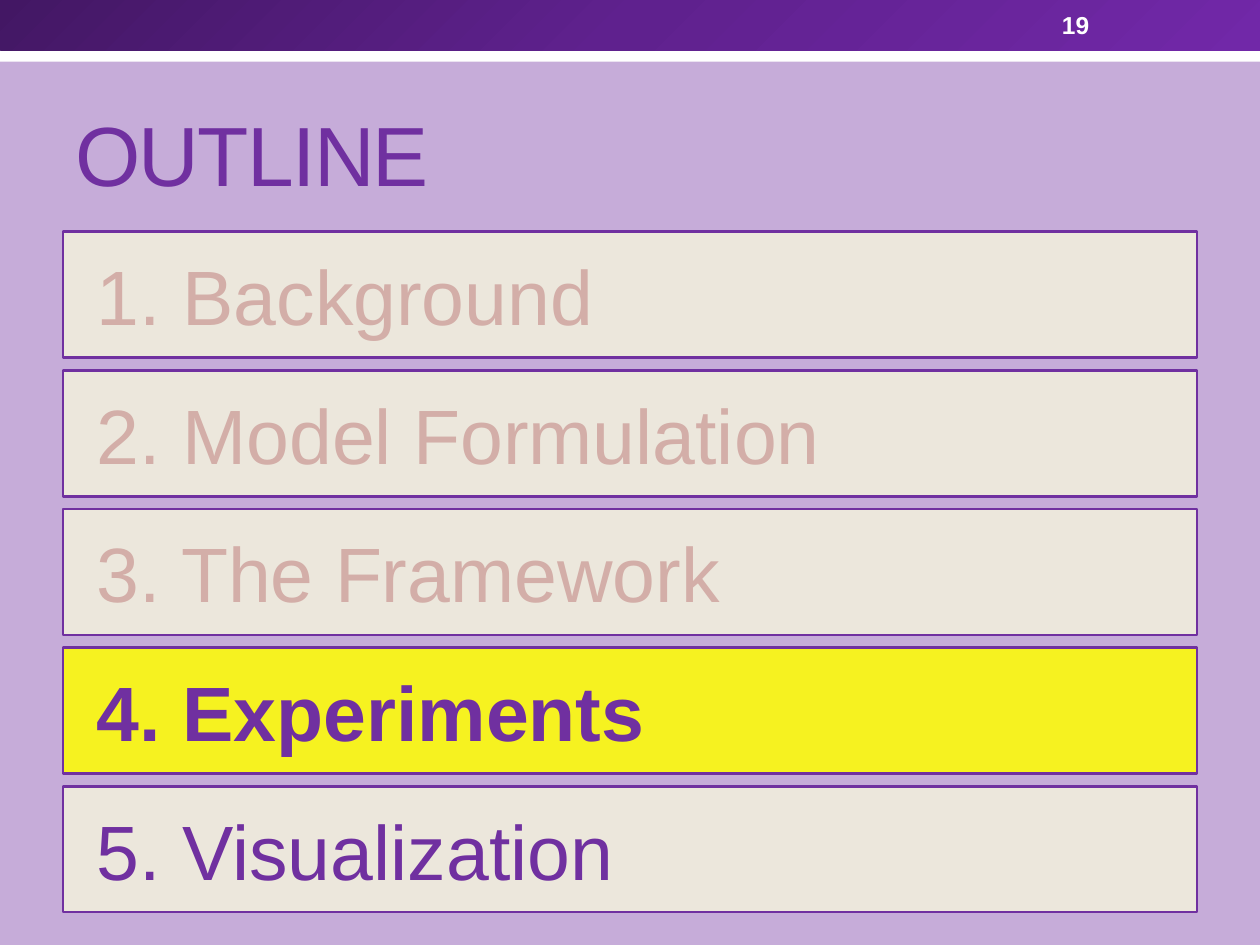
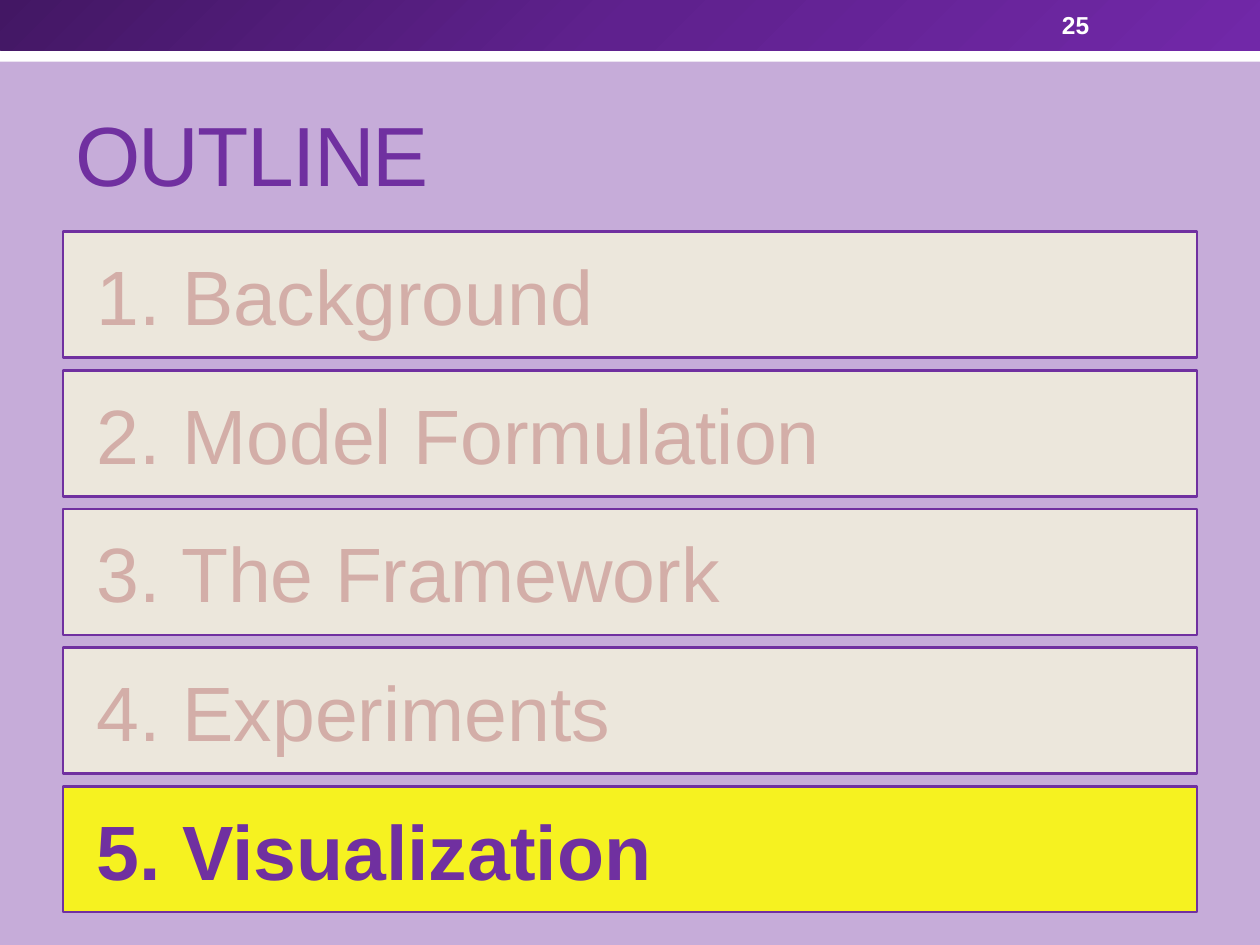
from copy import deepcopy
from pptx import Presentation
from pptx.util import Inches, Pt
from pptx.dml.color import RGBColor
from pptx.enum import shapes, text

PURPLE = RGBColor(0x70, 0x30, 0xA0)
LILAC = RGBColor(0xC6, 0xAC, 0xD9)
CREAM = RGBColor(0xEC, 0xE7, 0xDC)
YELLOW = RGBColor(0xF6, 0xF2, 0x20)
FADED = RGBColor(0xD3, 0xAE, 0xA8)
WHITE = RGBColor(0xFF, 0xFF, 0xFF)
DARK = RGBColor(0x43, 0x17, 0x64)
MIDDLE = RGBColor(0x5F, 0x21, 0x8E)
BRIGHT = RGBColor(0x71, 0x28, 0xA8)
FONT = "Arial"
TOPICS = ["Background", "Model Formulation", "The Framework",
          "Experiments", "Visualization"]


def add_rect(slide, left, top, width, height):
    rect = slide.shapes.add_shape(
        shapes.MSO_SHAPE.RECTANGLE,
        Inches(left), Inches(top), Inches(width), Inches(height))
    rect.shadow.inherit = False
    rect.line.fill.background()
    return rect


def add_box(slide, left, top, width, height):
    return slide.shapes.add_textbox(
        Inches(left), Inches(top), Inches(width), Inches(height))


def write(shape, words, size, color, bold=False,
          anchor=text.MSO_ANCHOR.MIDDLE):
    frame = shape.text_frame
    frame.word_wrap = True
    frame.vertical_anchor = anchor
    frame.text = words
    line = frame.paragraphs[0]
    line.alignment = text.PP_ALIGN.LEFT
    font = line.runs[0].font
    font.name, font.size, font.bold = FONT, Pt(size), bold
    font.color.rgb = color
    return line.runs[0]


def shade(fill):
    fill.gradient()
    fill.gradient_angle = 315
    stops = fill.gradient_stops
    first = stops[0]._gs
    first.addnext(deepcopy(first))
    colors = (DARK, MIDDLE, BRIGHT)
    for stop, place, color in zip(fill.gradient_stops, (0, 0.5, 1), colors):
        stop.position = place
        stop.color.rgb = color


def add_header(slide, number, left=0, top=0, width=10):
    strip = add_rect(slide, left, top + 0.24, width, 0.25)
    strip.fill.solid()
    strip.fill.fore_color.rgb = WHITE
    shade(add_rect(slide, left, top, width, 0.4).fill)
    page = add_box(slide, left + 8.33, top + 0.02, 1.17, 0.36)
    write(page, str(number), 14, WHITE, True)


def add_title(slide, words, left=0.5, top=0.58, width=9, height=1.08):
    box = add_box(slide, left, top, width, height)
    run = write(box, words, 48, PURPLE, anchor=text.MSO_ANCHOR.BOTTOM)
    run.font._element.set("spc", "-100")


def add_topics(slide, current, left=0.5, top=1.84, width=9, pitch=1.1):
    for index, topic in enumerate(TOPICS):
        active = index + 1 == current
        bar = add_rect(slide, left, top + index * pitch, width, 1)
        bar.fill.solid()
        bar.fill.fore_color.rgb = YELLOW if active else CREAM
        bar.line.color.rgb = PURPLE
        bar.line.width = Pt(1.5)
        bar.text_frame.margin_left = Inches(0.27)
        color = FADED if index + 1 < current else PURPLE
        write(bar, f"{index + 1}. {topic}", 44, color, active)


def add_outline(deck, number, current):
    slide = deck.slides.add_slide(deck.slide_layouts[6])
    add_header(slide, number)
    add_title(slide, "OUTLINE")
    add_topics(slide, current)


def main():
    deck = Presentation()
    deck.slide_width, deck.slide_height = Inches(10), Inches(7.5)
    ground = deck.slide_master.background.fill
    ground.solid()
    ground.fore_color.rgb = LILAC
    for number, current in ((19, 4), (25, 5)):
        add_outline(deck, number, current)
    deck.save("out.pptx")


if __name__ == "__main__":
    main()
